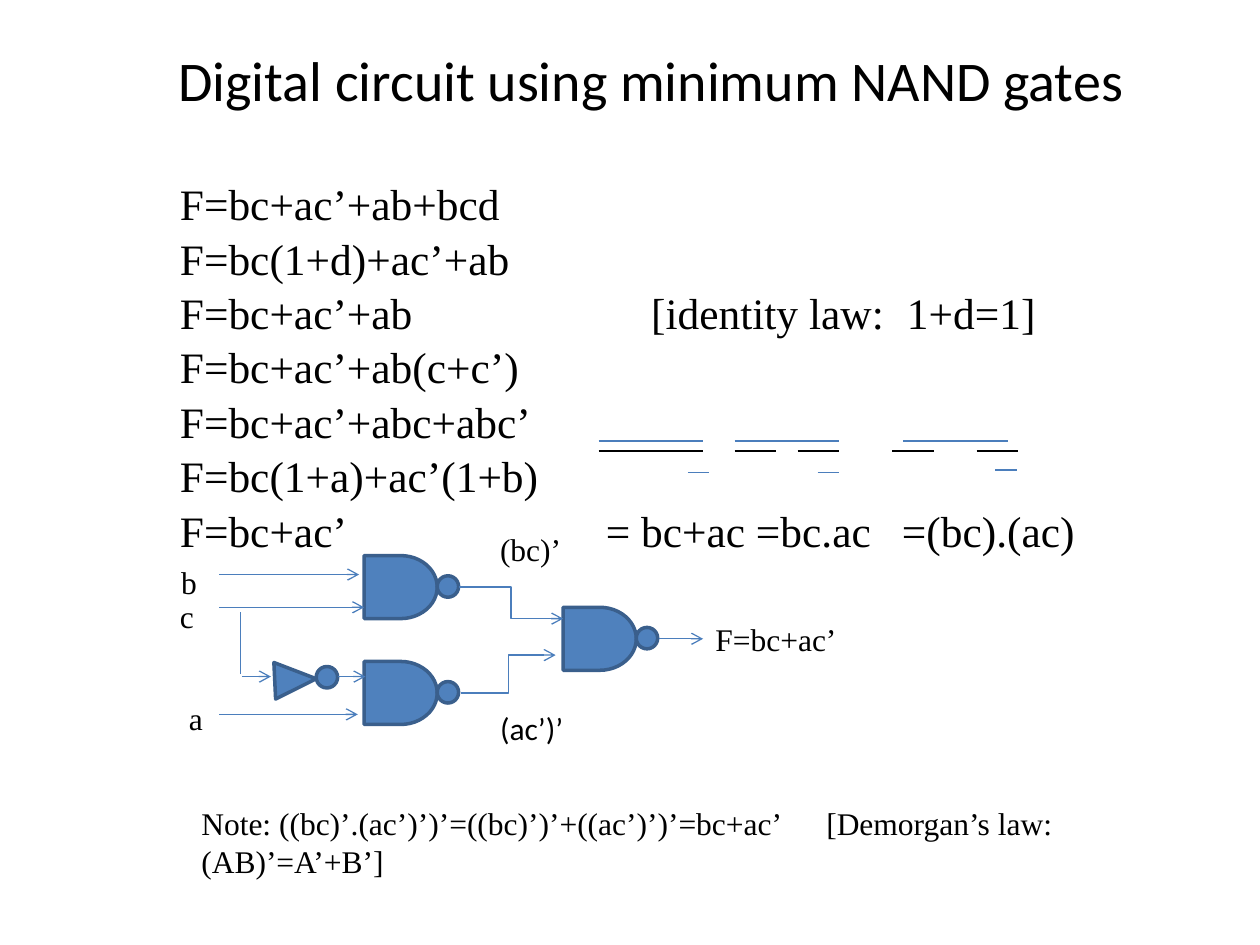
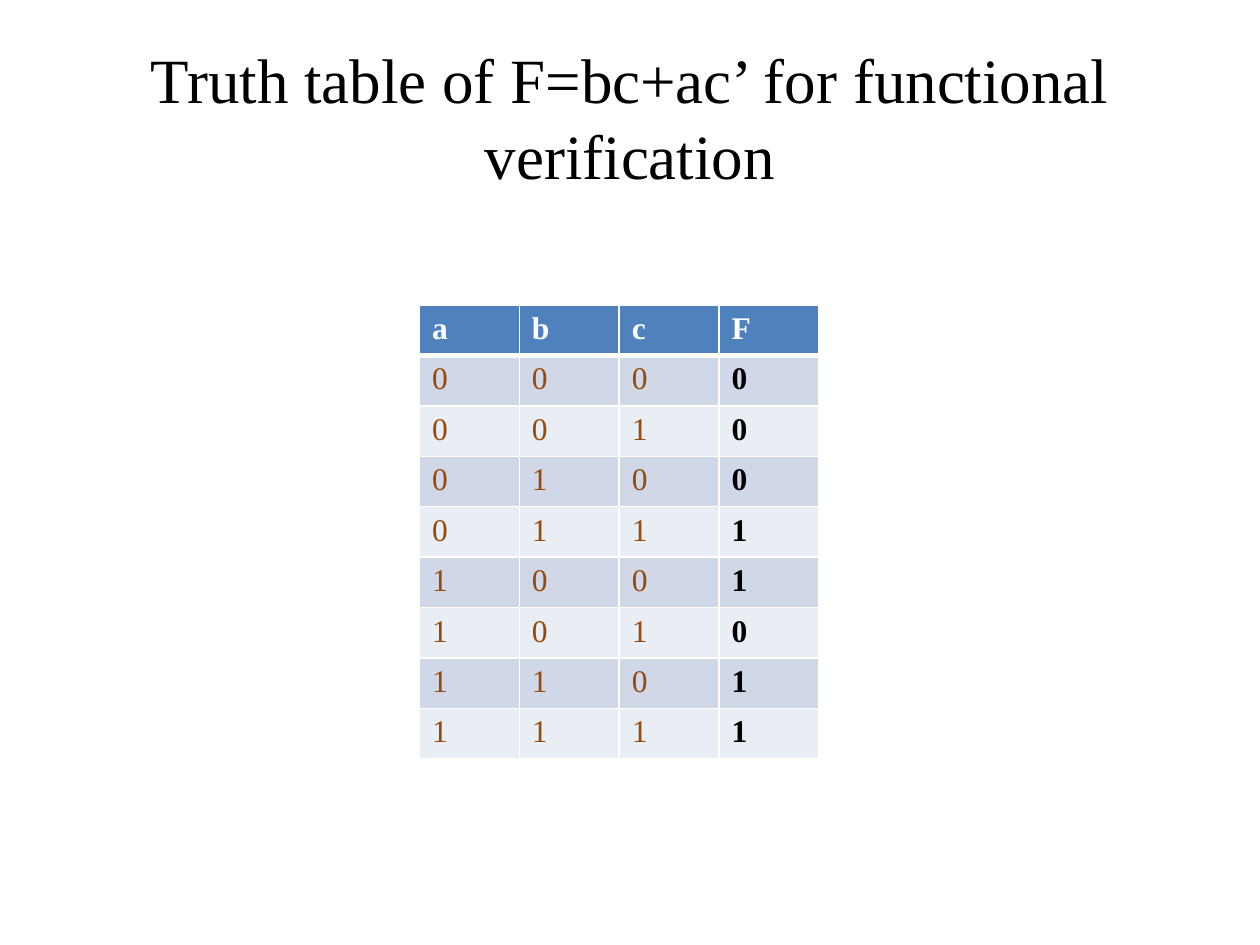
from itertools import product

from lxml import etree
from pptx import Presentation
from pptx import util as u
from pptx.dml.color import RGBColor
from pptx.enum import shapes, text
from pptx.oxml.ns import qn

SERIF, SANS = "Times New Roman", "Calibri"
BLACK, WHITE = "000000", "FFFFFF"
BLUE, OUTLINE, WIRE = "4F81BD", "3A5F8C", "4B7EBC"
BROWN, BANDS = "984807", ("E9EDF4", "D0D8E8")
BUBBLE = 0.17  # diameter of an inversion bubble


def rgb(hex_code):
    return RGBColor.from_string(hex_code)


def add_run(paragraph, words, size, font=SERIF, color=BLACK, bold=False):
    run = paragraph.add_run()
    run.text = words
    run.font.size, run.font.name, run.font.bold = u.Pt(size), font, bold
    run.font.color.rgb = rgb(color)


def set_tabs(paragraph, stops):
    tab_list = etree.SubElement(paragraph._p.get_or_add_pPr(), qn("a:tabLst"))
    for stop in stops:
        etree.SubElement(tab_list, qn("a:tab"), pos=str(u.Inches(stop)), algn="l")


class Region:
    """A box on a slide; its contents are placed from its top left corner."""

    def __init__(self, slide, left, top):
        self.shapes, self.left, self.top = slide.shapes, left, top

    def at(self, x, y):
        return u.Inches(self.left + x), u.Inches(self.top + y)

    def frame(self, x, y, width, height, anchor=text.MSO_ANCHOR.TOP):
        box = self.shapes.add_textbox(*self.at(x, y), u.Inches(width), u.Inches(height))
        box.text_frame.word_wrap = True
        box.text_frame.vertical_anchor = anchor
        return box.text_frame

    def label(self, words, x, y, width, height=0.4, font=SERIF):
        paragraph = self.frame(x, y, width, height).paragraphs[0]
        add_run(paragraph, words, 18, font)
        return paragraph

    def symbol(self, preset, x, y, width, height):
        symbol = self.shapes.add_shape(preset, *self.at(x, y), u.Inches(width), u.Inches(height))
        symbol.shadow.inherit = False
        symbol.fill.solid()
        symbol.fill.fore_color.rgb = rgb(BLUE)
        symbol.line.color.rgb = rgb(OUTLINE)
        symbol.line.width = u.Pt(2)
        return symbol

    def line(self, start, end, color=WIRE, arrow=False, bent=False):
        kind = shapes.MSO_CONNECTOR.ELBOW if bent else shapes.MSO_CONNECTOR.STRAIGHT
        line = self.shapes.add_connector(kind, *self.at(*start), *self.at(*end))
        line.line.color.rgb = rgb(color)
        line.line.width = u.Pt(0.75)
        properties = line._element.spPr
        if arrow:
            etree.SubElement(properties.find(qn("a:ln")), qn("a:tailEnd"), type="arrow")
        etree.SubElement(properties, qn("a:effectLst"))

    def bubble(self, x, y):
        self.symbol(shapes.MSO_SHAPE.OVAL, x, y, BUBBLE, BUBBLE)

    def nand(self, x, y):
        self.symbol(shapes.MSO_SHAPE.FLOWCHART_DELAY, x, y, 0.58, 0.5)
        self.bubble(x + 0.58, y + 0.16)


def add_title(slide, left, top, words, size, font):
    frame = Region(slide, left, top).frame(0, 0, 9, 1.25, text.MSO_ANCHOR.MIDDLE)
    frame.paragraphs[0].alignment = text.PP_ALIGN.CENTER
    add_run(frame.paragraphs[0], words, size, font)


def add_derivation(slide, left, top):
    steps = [
        ("F=bc+ac’+ab+bcd", ()),
        ("F=bc(1+d)+ac’+ab", ()),
        ("F=bc+ac’+ab\t[identity law:\t1+d=1]", (3.74, 5.77)),
        ("F=bc+ac’+ab(c+c’)", ()),
        ("F=bc+ac’+abc+abc’", ()),
        ("F=bc(1+a)+ac’(1+b)", ()),
        ("F=bc+ac’\t= bc+ac =bc.ac\t=(bc).(ac)", (3.38, 5.73)),
    ]
    frame = Region(slide, left, top).frame(0, 0, 8.33, 2.83, text.MSO_ANCHOR.MIDDLE)
    frame.margin_bottom = u.Inches(0.4)
    for index, (step, stops) in enumerate(steps):
        paragraph = frame.add_paragraph() if index else frame.paragraphs[0]
        paragraph.space_after = u.Pt(1.3)
        if stops:
            set_tabs(paragraph, stops)
        add_run(paragraph, step, 24.8)


def add_overbars(slide, left, top):
    """Complement bars, level by level: (x, y, length)."""
    region = Region(slide, left, top)
    long_bars = [(0, 0, 0.83), (1.08, 0, 0.83), (2.42, 0, 0.83)]
    term_bars = [(0, 0.08, 0.83), (1.08, 0.08, 0.33), (1.58, 0.08, 0.33),
                 (2.33, 0.08, 0.33), (3, 0.08, 0.33)]
    letter_bars = [(0.71, 0.25, 0.17), (1.74, 0.25, 0.17), (3.15, 0.23, 0.17)]
    for bars, color in ((long_bars, WIRE), (term_bars, BLACK), (letter_bars, WIRE)):
        for x, y, length in bars:
            region.line((x, y), (x + length, y), color)


def add_circuit(slide, left, top):
    region = Region(slide, left, top)

    # NAND gates
    for x, y in ((1.56, 0.25), (1.56, 1.09), (3.14, 0.66)):
        region.nand(x, y)

    # Inverter on input c
    inverter = region.symbol(shapes.MSO_SHAPE.ISOSCELES_TRIANGLE, 0.87, 1.07, 0.29, 0.33)
    inverter.rotation = 87.3
    region.bubble(1.18, 1.13)

    # Straight arrows: (from x, to x, y)
    for start, end, y in ((0.41, 1.52, 0.4), (0.41, 1.56, 0.66), (0.41, 1.51, 1.51),
                          (0.59, 0.82, 1.21), (1.35, 1.57, 1.21), (3.9, 4.25, 0.91)):
        region.line((start, y), (end, y), arrow=True)

    # Branch of c and wires into the output gate
    region.line((0.58, 1.19), (0.58, 0.7))
    region.line((2.31, 0.5), (3.14, 0.75), arrow=True, bent=True)
    region.line((2.33, 1.34), (3.08, 1.04), arrow=True, bent=True)

    # Signal names
    for words, x, y, width in (("b", 0.01, 0.26, 0.33), ("c", 0, 0.53, 0.33),
                               ("a", 0.07, 1.34, 0.33), ("F=bc+ac’", 4.25, 0.71, 1.17),
                               ("(bc)’", 2.54, 0, 0.71)):
        region.label(words, x, y, width)
    region.label("(ac’)’", 2.54, 1.42, 0.71, font=SANS)


def add_note(slide, left, top):
    note = "Note: ((bc)’.(ac’)’)’=((bc)’)’+((ac’)’)’=bc+ac’\t[Demorgan’s law: (AB)’=A’+B’]"
    set_tabs(Region(slide, left, top).label(note, 0, 0, 8.33, 0.71), [4.96])


def style_cell(cell, words, fill, color, bold, top, bottom):
    add_run(cell.text_frame.paragraphs[0], words, 18, color=color, bold=bold)
    properties = cell._tc.get_or_add_tcPr()
    for side, width in (("L", 1), ("R", 1), ("T", top), ("B", bottom)):
        border = etree.SubElement(properties, qn(f"a:ln{side}"), w=str(u.Pt(width)))
        paint = etree.SubElement(border, qn("a:solidFill"))
        etree.SubElement(paint, qn("a:srgbClr"), val=WHITE)
    cell.fill.solid()
    cell.fill.fore_color.rgb = rgb(fill)


def add_truth_table(slide, left, top):
    rows = [(a, b, c, int(b and c or a and not c)) for a, b, c in product((0, 1), repeat=3)]
    table = slide.shapes.add_table(
        len(rows) + 1, 4, u.Inches(left), u.Inches(top), u.Inches(3.17), u.Inches(3.6)).table
    table.first_row = table.horz_banding = False

    # Header, divided from the body by a thicker border
    for column, name in enumerate("abcF"):
        style_cell(table.cell(0, column), name, BLUE, WHITE, True, 1, 3)

    # Inputs in brown, output in bold black
    for number, values in enumerate(rows, 1):
        for column, value in enumerate(values):
            output = column == 3
            style_cell(table.cell(number, column), str(value), BANDS[number % 2],
                       BLACK if output else BROWN, output, 3 if number == 1 else 1, 1)


def build_circuit_slide(slide):
    add_title(slide, 0.67, 0, "Digital circuit using minimum NAND gates", 32, SANS)
    add_derivation(slide, 1.33, 1.67)
    add_circuit(slide, 1.33, 4.16)
    add_note(slide, 1.5, 6.33)
    add_overbars(slide, 4.75, 3.5)


def build_table_slide(slide):
    add_title(slide, 0.5, 0.3, "Truth table of F=bc+ac’ for functional verification", 36, SERIF)
    add_truth_table(slide, 3.33, 2.42)


def main():
    deck = Presentation()
    deck.slide_width, deck.slide_height = u.Inches(10), u.Inches(7.5)
    for build in (build_circuit_slide, build_table_slide):
        build(deck.slides.add_slide(deck.slide_layouts[6]))
    deck.save("out.pptx")


if __name__ == "__main__":
    main()
